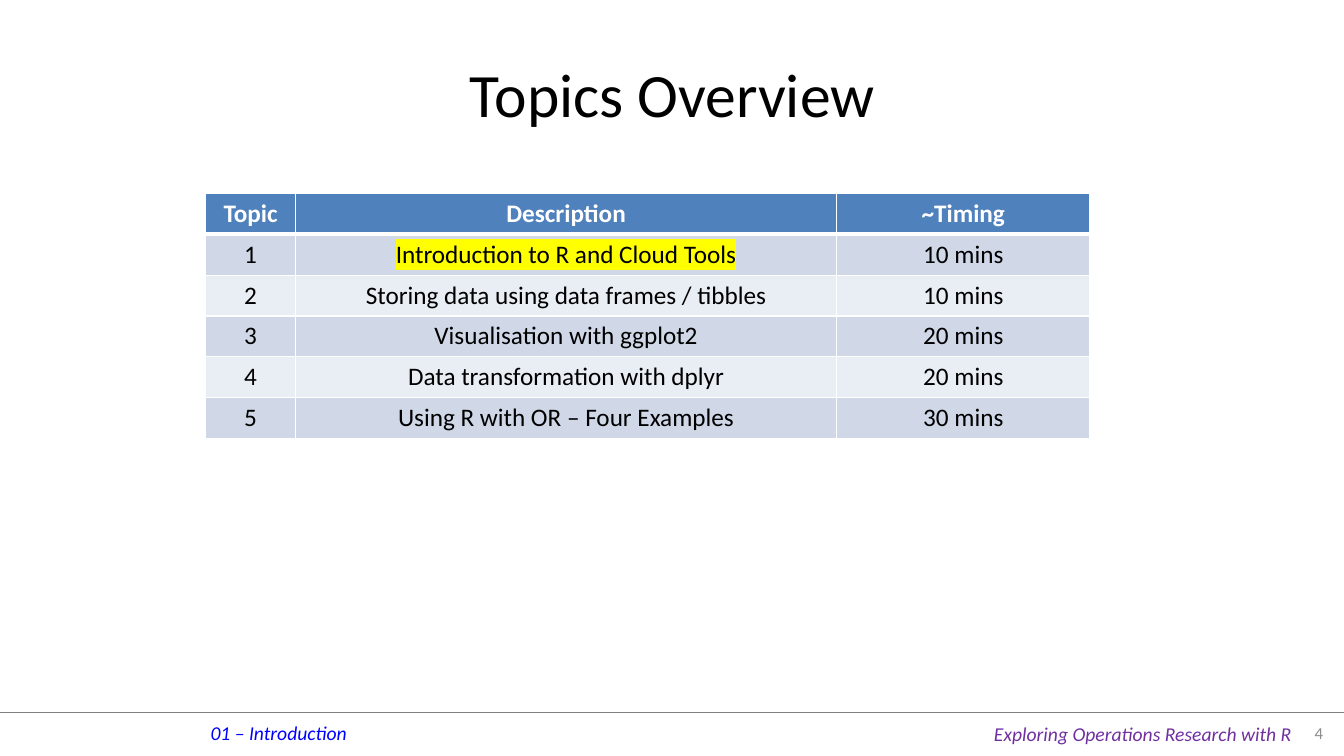
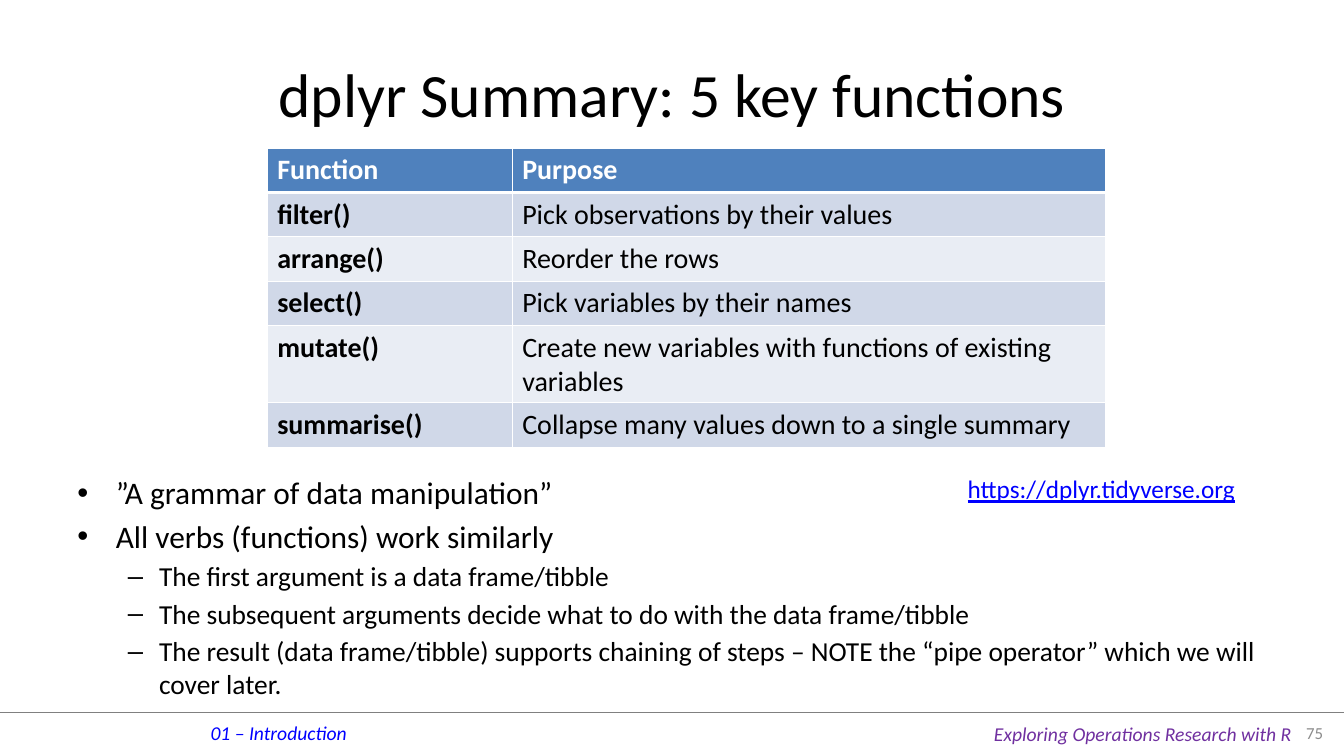
from dataclasses import dataclass

from lxml.etree import SubElement
from pptx import Presentation
from pptx.dml.color import RGBColor
from pptx.enum.shapes import MSO_CONNECTOR
from pptx.enum.text import MSO_ANCHOR as Anchor, PP_ALIGN as Align
from pptx.oxml.ns import qn
from pptx.util import Inches, Pt


@dataclass(frozen=True)
class Theme:
    font: str = "Calibri"
    black: str = "000000"
    white: str = "FFFFFF"
    blue: str = "0000FF"
    purple: str = "7030A0"
    gray: str = "8C8C8C"
    rule: str = "808080"
    header: str = "4F81BD"
    bands: tuple = ("D0D8E8", "E9EDF4")
    highlight: str = "FFFF00"
    title_size: float = 44
    link_size: float = 18
    footer_size: float = 14
    number_size: float = 12
    bullet_sizes: tuple = (22.4, 19.6)


THEME = Theme()


def write_run(paragraph, text, size, color=THEME.black, **styles):
    run = paragraph.add_run()
    run.text = text
    run.font.name = THEME.font
    run.font.size = Pt(size)
    run.font.color.rgb = RGBColor.from_string(color)
    for style, value in styles.items():
        setattr(run.font, style, value)
    return run


def add_text_frame(slide, left, top, width, height, wrap=True):
    box = slide.shapes.add_textbox(Inches(left), Inches(top), Inches(width), Inches(height))
    box.text_frame.word_wrap = wrap
    return box.text_frame


# Content of the two slides
FOOTERS = [
    ("01 – Introduction", THEME.blue, (1.99, 7.1, 1.57, 0.34)),
    ("Exploring Operations Research with R", THEME.purple, (9.76, 7.11, 3.18, 0.34)),
]
MARKED_TOPIC = "Introduction to R and Cloud Tools"
TOPICS = dict(
    title="Topics Overview", number="4",
    left=2.04, top=1.92, columns=(0.89, 5.37, 2.51), row_height=0.405,
    size=18, align=Align.CENTER, bold_first=False,
    rows=[
        ("Topic", "Description", "~Timing"),
        ("1", MARKED_TOPIC, "10 mins"),
        ("2", "Storing data using data frames / tibbles", "10 mins"),
        ("3", "Visualisation with ggplot2", "20 mins"),
        ("4", "Data transformation with dplyr", "20 mins"),
        ("5", "Using R with OR – Four Examples", "30 mins"),
    ],
)
FUNCTIONS = dict(
    title="dplyr Summary: 5 key functions", number="75",
    left=2.65, top=1.47, columns=(2.43, 5.89), row_height=0.44,
    size=20, align=Align.LEFT, bold_first=True,
    rows=[
        ("Function", "Purpose"),
        ("filter()", "Pick observations by their values"),
        ("arrange()", "Reorder the rows"),
        ("select()", "Pick variables by their names"),
        ("mutate()", "Create new variables with functions of existing variables"),
        ("summarise()", "Collapse many values down to a single summary"),
    ],
)
POINTS = [
    (0, "”A grammar of data manipulation”"),
    (0, "All verbs (functions) work similarly"),
    (1, "The first argument is a data frame/tibble"),
    (1, "The subsequent arguments decide what to do with the data frame/tibble"),
    (1, "The result (data frame/tibble) supports chaining of steps – NOTE the "
        "“pipe operator” which we will cover later."),
]
# Bullet, left margin, hanging indent and space before, by level
POINT_STYLES = [("•", 0.38, -0.38, 4), ("–", 0.81, -0.31, 3.3)]

deck = Presentation()
deck.slide_width, deck.slide_height = Inches(13.33), Inches(7.5)

for content in (TOPICS, FUNCTIONS):
    slide = deck.slides.add_slide(deck.slide_layouts[5])

    # Footer rule and labels
    rule = slide.shapes.add_connector(
        MSO_CONNECTOR.STRAIGHT, 0, Inches(7.07), deck.slide_width, Inches(7.07))
    rule.line.color.rgb = RGBColor.from_string(THEME.rule)
    rule.line.width = Pt(0.25)
    SubElement(rule._element.spPr, qn("a:effectLst"))
    for label, color, place in FOOTERS:
        footer = add_text_frame(slide, *place, wrap=False)
        write_run(footer.paragraphs[0], label, THEME.footer_size, color, italic=True)
    number = add_text_frame(slide, 12.67, 7.07, 0.55, 0.39)
    number.vertical_anchor = Anchor.MIDDLE
    number.paragraphs[0].alignment = Align.RIGHT
    write_run(number.paragraphs[0], content["number"], THEME.number_size, THEME.gray)

    # Title
    title = slide.shapes.title
    title.left, title.top = Inches(0.67), Inches(0.3)
    title.width, title.height = Inches(12), Inches(1.25)
    title.text_frame.vertical_anchor = Anchor.MIDDLE
    title.text_frame.paragraphs[0].alignment = Align.CENTER
    write_run(title.text_frame.paragraphs[0], content["title"], THEME.title_size)

    # Table with a header and two alternating bands
    rows, columns = content["rows"], content["columns"]
    table = slide.shapes.add_table(
        len(rows), len(columns), Inches(content["left"]), Inches(content["top"]),
        Inches(sum(columns)), Inches(content["row_height"] * len(rows))).table
    for column, width in zip(table.columns, columns):
        column.width = Inches(width)
    for r, row in enumerate(rows):
        table.rows[r].height = Inches(content["row_height"])
        is_header = r == 0
        for c, text in enumerate(row):
            cell = table.cell(r, c)
            borders = {"a:lnL": 1, "a:lnR": 1,
                       "a:lnT": 3 if r == 1 else 1, "a:lnB": 3 if is_header else 1}
            for side, points in borders.items():
                border = SubElement(cell._tc.get_or_add_tcPr(), qn(side), w=str(Pt(points)))
                fill = SubElement(border, qn("a:solidFill"))
                SubElement(fill, qn("a:srgbClr"), val=THEME.white)
            cell.fill.solid()
            cell.fill.fore_color.rgb = RGBColor.from_string(
                THEME.header if is_header else THEME.bands[(r - 1) % 2])
            paragraph = cell.text_frame.paragraphs[0]
            paragraph.alignment = content["align"]
            run = write_run(paragraph, text, content["size"],
                            THEME.white if is_header else THEME.black,
                            bold=is_header or (content["bold_first"] and c == 0))
            if text == MARKED_TOPIC:
                properties = run._r.get_or_add_rPr()
                marker = SubElement(properties, qn("a:highlight"))
                SubElement(marker, qn("a:srgbClr"), val=THEME.highlight)
                properties.find(qn("a:latin")).addprevious(marker)

# Notes on the functions, on the last slide
points = add_text_frame(slide, 0.67, 4.65, 12, 2.17)
for i, (level, text) in enumerate(POINTS):
    bullet, margin, indent, space = POINT_STYLES[level]
    paragraph = points.add_paragraph() if i else points.paragraphs[0]
    paragraph.level = level
    properties = paragraph._p.get_or_add_pPr()
    properties.set("marL", str(Inches(margin)))
    properties.set("indent", str(Inches(indent)))
    SubElement(properties, qn("a:buFont"), typeface="Arial")
    SubElement(properties, qn("a:buChar"), char=bullet)
    if i:
        paragraph.space_before = Pt(space)
    write_run(paragraph, text, THEME.bullet_sizes[level])

# Web address
address = add_text_frame(slide, 9.5, 4.65, 2.94, 0.4)
write_run(address.paragraphs[0], "https://dplyr.tidyverse.org",
          THEME.link_size, THEME.blue, underline=True)

deck.save("out.pptx")
